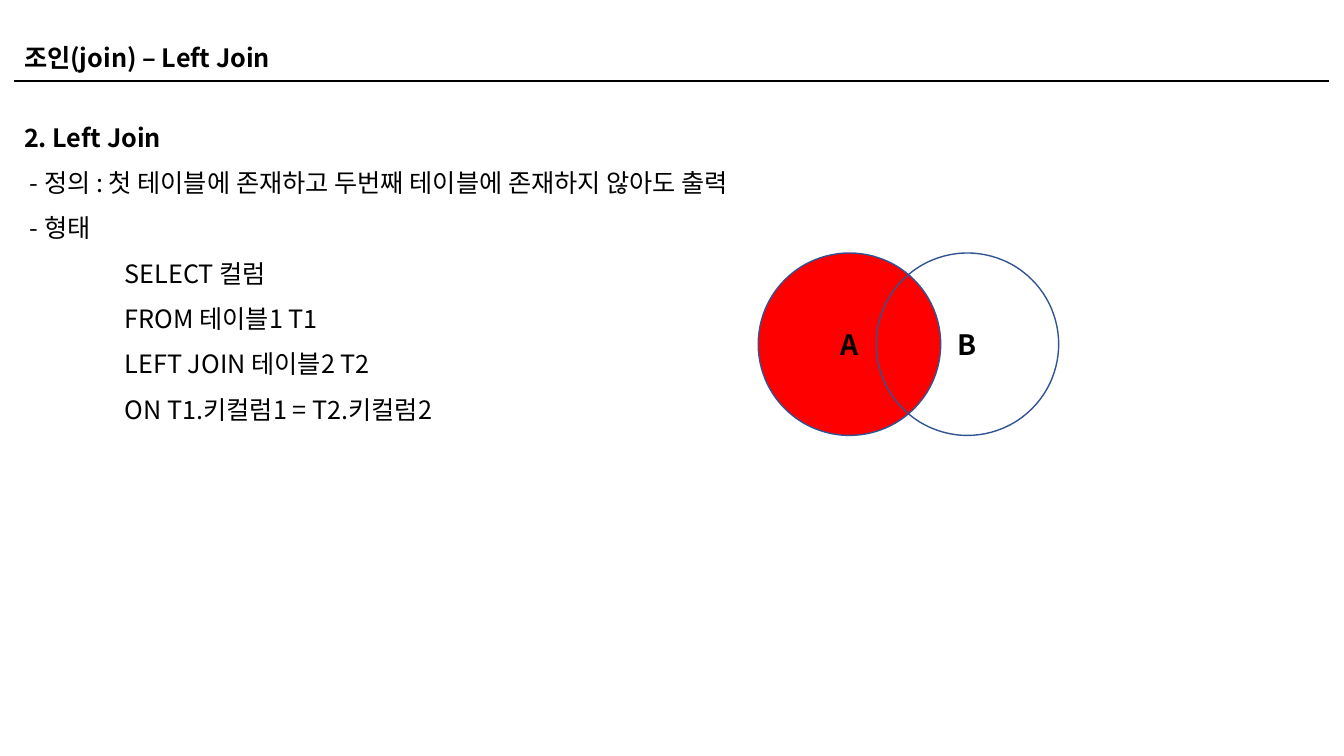
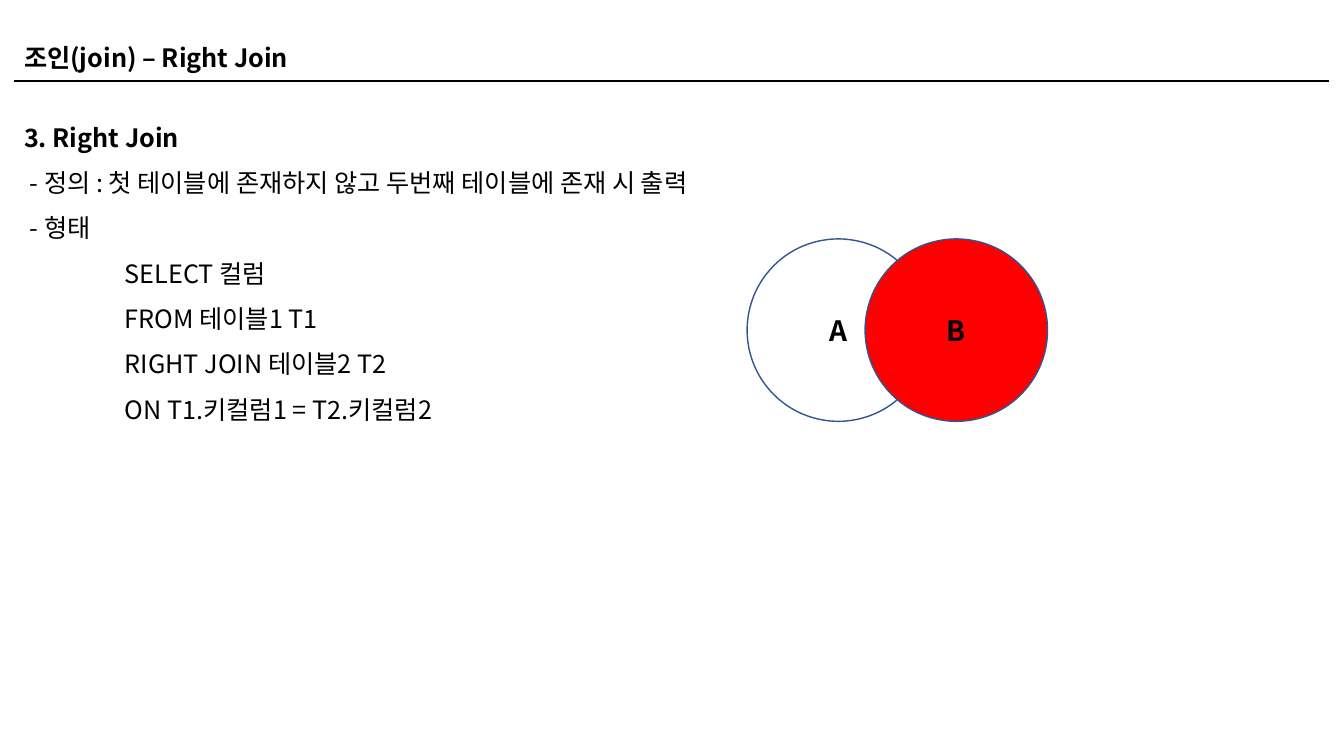
from lxml.etree import SubElement
from pptx import Presentation
from pptx.dml.color import RGBColor
from pptx.enum.shapes import MSO_CONNECTOR, MSO_SHAPE
from pptx.enum.text import MSO_ANCHOR, MSO_AUTO_SIZE, PP_ALIGN
from pptx.oxml.ns import qn
from pptx.util import Inches, Pt

FONT = "Noto Sans CJK KR"
BLACK, RED, BLUE = "000000", "FF0000", "325491"
LEFT, WIDTH = 0.14, 13.04
TITLE_BOX = (LEFT, 0.37, WIDTH, 0.4)
BODY_BOX = (LEFT, 1.01, WIDTH, 4.13)
RULE_Y = 0.8
CODE_INDENT = 1
CIRCLE, STEP = 1.81, 1.17

JOINS = [
    dict(number=2, kind="Left", rule="첫 테이블에 존재하고 두번째 테이블에 존재하지 않아도 출력",
         venn=(7.52, 2.51), filled="A"),
    dict(number=3, kind="Right", rule="첫 테이블에 존재하지 않고 두번째 테이블에 존재 시 출력",
         venn=(7.41, 2.37), filled="B"),
]


def color(value):
    """Return the colour for a hex string."""
    return RGBColor.from_string(value)


def style(p, text, size=18, bold=False):
    """Write text into a paragraph in the deck's font."""
    p.text = text
    font = p.font
    font.name, font.size, font.bold = FONT, Pt(size), bold
    font.color.rgb = color(BLACK)
    SubElement(p._p.pPr.find(qn("a:defRPr")), qn("a:ea"), typeface=FONT)


def add_text(s, box, lines, spacing=1.0):
    """Add a text box of (text, bold, indent) lines."""
    tf = s.shapes.add_textbox(*map(Inches, box)).text_frame
    tf.word_wrap = True
    tf.auto_size = MSO_AUTO_SIZE.SHAPE_TO_FIT_TEXT
    for i, (text, bold, indent) in enumerate(lines):
        p = tf.add_paragraph() if i else tf.paragraphs[0]
        style(p, text, bold=bold)
        p.line_spacing = spacing
        if indent:
            p._p.pPr.set("marL", str(Inches(indent)))
            p._p.pPr.set("indent", "0")


def add_header(s, title):
    """Add the slide title and the rule beneath it."""
    ends = (LEFT, RULE_Y, LEFT + WIDTH, RULE_Y)
    rule = s.shapes.add_connector(MSO_CONNECTOR.STRAIGHT, *map(Inches, ends))
    rule.line.color.rgb = color(BLACK)
    rule.line.width = Pt(1.5)
    SubElement(rule._element.spPr, qn("a:effectLst"))
    add_text(s, TITLE_BOX, [(title, True, 0)])


def add_venn(s, left, top, filled):
    """Add two overlapping circles, one of them filled."""
    for i, name in enumerate("AB"):
        box = (left + i * STEP, top, CIRCLE, CIRCLE)
        sp = s.shapes.add_shape(MSO_SHAPE.OVAL, *map(Inches, box))
        sp.shadow.inherit = False
        if name == filled:
            sp.fill.solid()
            sp.fill.fore_color.rgb = color(RED)
        else:
            sp.fill.background()
        sp.line.color.rgb = color(BLUE)
        sp.line.width = Pt(1)
        tf = sp.text_frame
        tf.vertical_anchor = MSO_ANCHOR.MIDDLE
        p = tf.paragraphs[0]
        style(p, name, 20, True)
        p.alignment = PP_ALIGN.CENTER


def add_join_slide(prs, number, kind, rule, venn, filled):
    """Add a slide explaining one kind of join."""
    s = prs.slides.add_slide(prs.slide_layouts[6])
    add_header(s, f"조인(join) – {kind} Join")
    query = ["SELECT 컬럼", "FROM 테이블1 T1", f"{kind.upper()} JOIN 테이블2 T2",
             "ON T1.키컬럼1 = T2.키컬럼2"]
    lines = [(f"{number}. {kind} Join", True, 0), (f" - 정의 : {rule}", False, 0),
             (" - 형태", False, 0)]
    lines += [(text, False, CODE_INDENT) for text in query]
    add_text(s, BODY_BOX, lines, 1.5)
    add_venn(s, *venn, filled)


def main():
    """Build and save the deck."""
    prs = Presentation()
    prs.slide_width, prs.slide_height = Inches(13.33), Inches(7.5)
    for join in JOINS:
        add_join_slide(prs, **join)
    prs.save("out.pptx")


if __name__ == "__main__":
    main()
